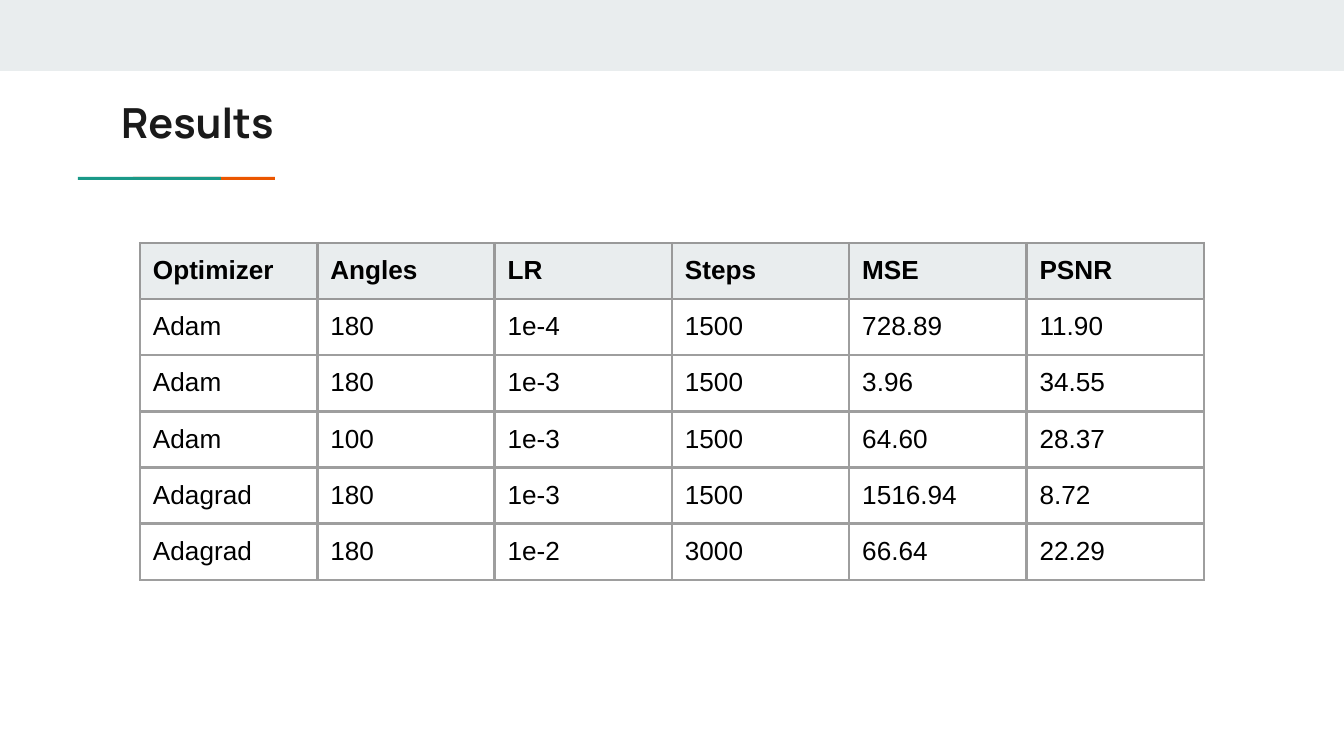
"""Build the slide that lists the optimizer results in a table."""
from dataclasses import dataclass

import pptx
import pptx.dml.color
import pptx.enum.shapes
import pptx.enum.text
import pptx.oxml
import pptx.oxml.ns
import pptx.util

SCALE = 914400 / 134.4
INK = {
    "band": "E9EDEE",
    "green": "1A9988",
    "orange": "EB5600",
    "title": "1A1A1A",
    "text": "000000",
    "head": "999999",
    "grid": "9E9E9E",
}
ROWS = [
    ("Optimizer", "Angles", "LR", "Steps", "MSE", "PSNR"),
    ("Adam", "180", "1e-4", "1500", "728.89", "11.90"),
    ("Adam", "180", "1e-3", "1500", "3.96", "34.55"),
    ("Adam", "100", "1e-3", "1500", "64.60", "28.37"),
    ("Adagrad", "180", "1e-3", "1500", "1516.94", "8.72"),
    ("Adagrad", "180", "1e-2", "3000", "66.64", "22.29"),
]
PAD = 13


@dataclass
class Bar:
    left: int
    top: int
    width: int
    height: int
    color: str


BARS = [
    Bar(0, 0, 1344, 71, "band"),
    Bar(133, 177, 142, 3, "orange"),
    Bar(78, 177, 143, 3, "green"),
]


def px(size: float) -> int:
    return pptx.util.Emu(round(size * SCALE))


def color(name: str) -> pptx.dml.color.RGBColor:
    return pptx.dml.color.RGBColor.from_string(INK[name])


def style(font, face: str, size: float, name: str, bold: bool) -> None:
    font.name = face
    font.size = pptx.util.Pt(size)
    font.bold = bold
    font.color.rgb = color(name)


def pad(box) -> None:
    box.margin_left = box.margin_right = px(PAD)
    box.margin_top = box.margin_bottom = px(PAD)


def draw_bar(slide, bar: Bar) -> None:
    shape = slide.shapes.add_shape(
        pptx.enum.shapes.MSO_SHAPE.RECTANGLE,
        px(bar.left), px(bar.top), px(bar.width), px(bar.height))
    shape.shadow.inherit = False
    shape.fill.solid()
    shape.fill.fore_color.rgb = color(bar.color)
    shape.line.fill.background()


def draw_title(slide, text: str) -> None:
    title = slide.shapes.title
    title.left, title.top = px(108), px(84)
    title.width, title.height = px(1130), px(89)
    frame = title.text_frame
    frame.text = text
    frame.word_wrap = True
    frame.auto_size = pptx.enum.text.MSO_AUTO_SIZE.NONE
    frame.vertical_anchor = pptx.enum.text.MSO_ANCHOR.TOP
    pad(frame)
    line = frame.paragraphs[0]
    line.alignment = pptx.enum.text.PP_ALIGN.LEFT
    style(line.font, "Manrope", 22.2, "title", True)


def draw_edge(cell, side: str, name: str) -> None:
    space = pptx.oxml.ns.nsdecls("a")
    width = pptx.util.Pt(1.5)
    edge = pptx.oxml.parse_xml(
        f'<a:ln{side} {space} w="{width}"><a:solidFill>'
        f'<a:srgbClr val="{INK[name]}"/></a:solidFill></a:ln{side}>')
    cell._tc.get_or_add_tcPr().append(edge)


def draw_cell(cell, text: str, row: int) -> None:
    head = row == 0
    cell.text = text
    pad(cell)
    style(cell.text_frame.paragraphs[0].font, "Arial", 14, "text", head)
    for side in "LRTB":
        shared = row == 1 and side == "T"
        draw_edge(cell, side, "head" if head or shared else "grid")
    if head:
        cell.fill.solid()
        cell.fill.fore_color.rgb = color("band")
    else:
        cell.fill.background()


def draw_table(slide, rows: list[tuple[str, ...]]) -> None:
    count = len(rows[0])
    table = slide.shapes.add_table(
        len(rows), count, px(140), px(243), px(1064), px(337)).table
    table.first_row = table.horz_banding = False
    for row, texts in enumerate(rows):
        for col, text in enumerate(texts):
            draw_cell(table.cell(row, col), text, row)


def main() -> None:
    deck = pptx.Presentation()
    deck.slide_width, deck.slide_height = px(1344), px(756)
    slide = deck.slides.add_slide(deck.slide_layouts[5])
    for bar in BARS:
        draw_bar(slide, bar)
    draw_table(slide, ROWS)
    draw_title(slide, "Results")
    deck.save("out.pptx")


if __name__ == "__main__":
    main()
